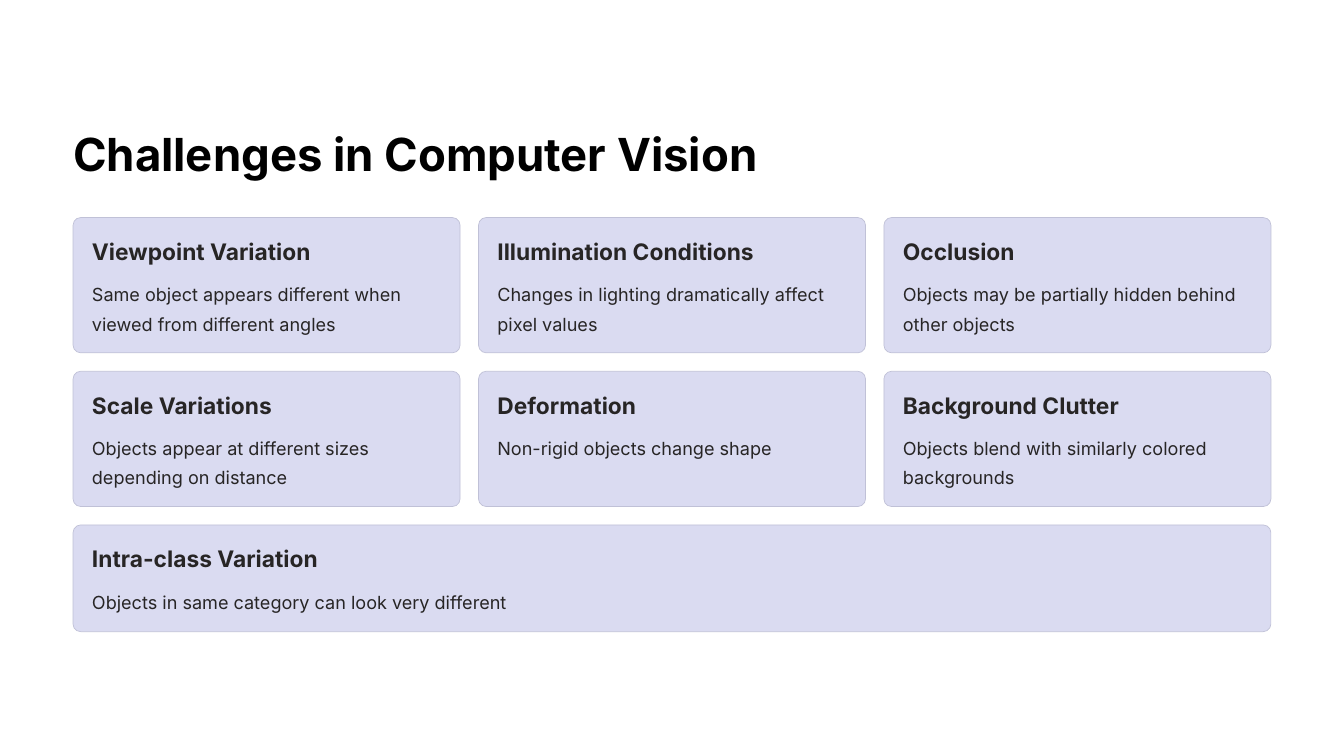
from pptx import Presentation
from pptx import util as u
from pptx.dml.color import RGBColor
from pptx.enum import shapes, text

LEFT, TOP, WIDTH = 0.87, 2.59, 14.26
COLUMNS, GAP = 3, 0.22
CARD_HEIGHT, WIDE_HEIGHT = 1.61, 1.27
PADDING, RADIUS = 0.225, 0.09

CHALLENGES = [
    ("Viewpoint Variation", "Same object appears different when viewed from different angles"),
    ("Illumination Conditions", "Changes in lighting dramatically affect pixel values"),
    ("Occlusion", "Objects may be partially hidden behind other objects"),
    ("Scale Variations", "Objects appear at different sizes depending on distance"),
    ("Deformation", "Non-rigid objects change shape"),
    ("Background Clutter", "Objects blend with similarly colored backgrounds"),
]
WIDE_CHALLENGE = ("Intra-class Variation", "Objects in same category can look very different")


def color(value):
    """Return the colour for a hex string."""
    return RGBColor.from_string(value)


def write(shape, words, size, spacing, ink, bold=False):
    """Fill a shape with one left-aligned paragraph without margins."""
    frame = shape.text_frame
    frame.margin_left = frame.margin_right = frame.margin_top = frame.margin_bottom = 0
    frame.word_wrap = True
    frame.auto_size = text.MSO_AUTO_SIZE.NONE
    frame.vertical_anchor = text.MSO_ANCHOR.TOP
    frame.text = words
    paragraph = frame.paragraphs[0]
    paragraph.alignment = text.PP_ALIGN.LEFT
    paragraph.line_spacing = u.Pt(spacing)
    paragraph.space_before = u.Pt(0)
    font = paragraph.font
    font.name, font.size, font.bold = "Inter", u.Pt(size), bold
    font.color.rgb = color(ink)


def add_title(slide, words, left, top, width, height):
    """Place and format the slide title."""
    title = slide.shapes.title
    title.left, title.top = u.Inches(left), u.Inches(top)
    title.width, title.height = u.Inches(width), u.Inches(height)
    write(title, words, 39, 48.5, "000000", bold=True)


def add_card(slide, challenge, left, top, width, height):
    """Draw a rounded card with a heading and a description."""
    card = slide.shapes.add_shape(
        shapes.MSO_SHAPE.ROUNDED_RECTANGLE,
        u.Inches(left), u.Inches(top), u.Inches(width), u.Inches(height))
    card.adjustments[0] = RADIUS / height
    card.shadow.inherit = False
    card.fill.solid()
    card.fill.fore_color.rgb = color("DADBF1")
    card.line.color.rgb = color("C0C1D7")
    card.line.width = u.Pt(0.6)

    heading, description = challenge
    inner_left, inner_width = u.Inches(left + PADDING), u.Inches(width - 2 * PADDING)
    heading_box = slide.shapes.add_textbox(
        inner_left, u.Inches(top + 0.23), inner_width, u.Inches(0.34))
    write(heading_box, heading, 19.5, 24, "272525", bold=True)
    description_box = slide.shapes.add_textbox(
        inner_left, u.Inches(top + 0.7), inner_width, u.Inches(height - 0.92))
    write(description_box, description, 15.5, 25, "272525")


def add_cards(slide, left, top, width):
    """Lay out the card grid with one full-width card below it."""
    card_width = (width - (COLUMNS - 1) * GAP) / COLUMNS
    for index, challenge in enumerate(CHALLENGES):
        row, column = divmod(index, COLUMNS)
        add_card(slide, challenge, left + column * (card_width + GAP),
                 top + row * (CARD_HEIGHT + GAP), card_width, CARD_HEIGHT)
    rows = len(CHALLENGES) // COLUMNS
    add_card(slide, WIDE_CHALLENGE, left, top + rows * (CARD_HEIGHT + GAP), width, WIDE_HEIGHT)


def main():
    """Build and save the presentation."""
    presentation = Presentation()
    presentation.slide_width, presentation.slide_height = u.Inches(16), u.Inches(9)
    slide = presentation.slides.add_slide(presentation.slide_layouts[5])
    slide.background.fill.solid()
    slide.background.fill.fore_color.rgb = color("FFFFFF")
    add_title(slide, "Challenges in Computer Vision", LEFT, 1.48, WIDTH, 0.68)
    add_cards(slide, LEFT, TOP, WIDTH)
    presentation.save("out.pptx")


if __name__ == "__main__":
    main()
